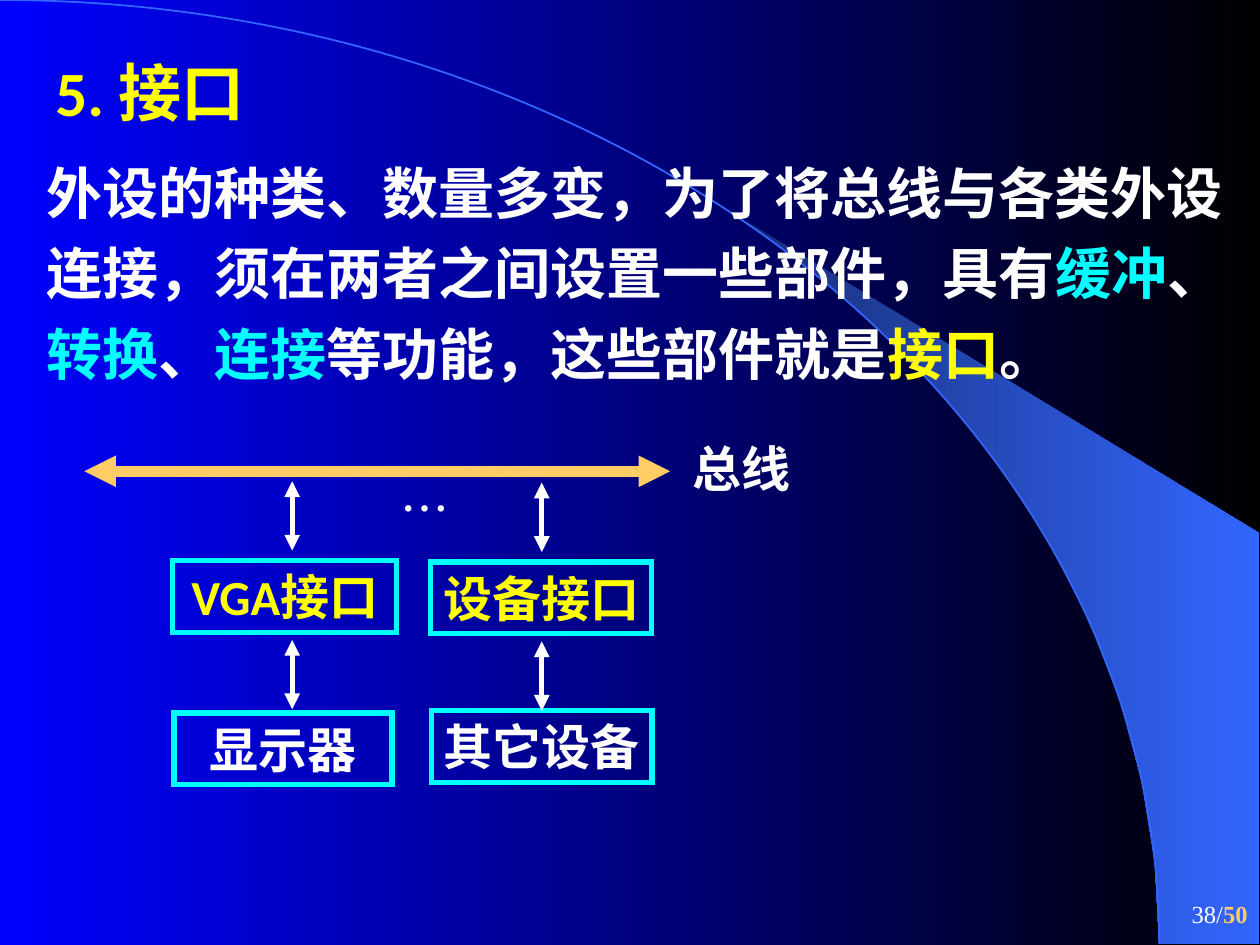
from math import cos, radians, sin

from lxml.etree import SubElement as Sub
from pptx import Presentation
from pptx.dml.color import RGBColor as RGB
from pptx.enum.shapes import MSO_CONNECTOR as Conn, MSO_SHAPE as Shape
from pptx.enum.text import MSO_ANCHOR as Anchor, MSO_AUTO_SIZE as Auto, PP_ALIGN as Align
from pptx.oxml.ns import qn
from pptx.util import Pt

theme = {
    "blue": "0000FF", "black": "000000", "navy": "182F76", "sky": "3366FF",
    "white": "FFFFFF", "cyan": "00FFFF", "gold": "FFFF00", "sand": "FFCC66",
    "head": 36, "body": 32, "label": 28, "small": 14,
    "main": "Calibri", "han": "Noto Sans CJK SC", "serif": "Times New Roman",
}
hues = ("blue", "black", "navy", "sky", "white", "cyan", "gold", "sand")
tone = {hue: RGB.from_string(theme[hue]) for hue in hues}


def write(shape, runs, size, face="main", align=Align.CENTER, wrap=False,
          anchor=Anchor.TOP, space=1.0, fit=Auto.SHAPE_TO_FIT_TEXT):
    frame = shape.text_frame
    form = {"word_wrap": wrap, "vertical_anchor": anchor, "auto_size": fit,
            "margin_left": Pt(7.2), "margin_right": Pt(7.2),
            "margin_top": Pt(3.6), "margin_bottom": Pt(3.6)}
    for key, val in form.items():
        setattr(frame, key, val)
    para = frame.paragraphs[0]
    para.alignment, para.line_spacing = align, space
    for text, hue, bold in runs:
        run = para.add_run()
        run.text = text
        form = {"name": theme[face], "size": Pt(theme[size]), "bold": bold}
        for key, val in form.items():
            setattr(run.font, key, val)
        run.font.color.rgb = tone[hue]
        Sub(run.font._element, qn("a:ea"), typeface=theme["han"])


def arrow(x1, y1, x2, y2, hue, width):
    link = slide.shapes.add_connector(Conn.STRAIGHT, Pt(x1), Pt(y1), Pt(x2), Pt(y2))
    link.line.color.rgb, link.line.width = tone[hue], Pt(width)
    for end in ("a:headEnd", "a:tailEnd"):
        Sub(link.line._get_or_add_ln(), qn(end), type="triangle")
    Sub(link._element.spPr, qn("a:effectLst"))
    return link


deck = Presentation()
deck.slide_width, deck.slide_height = Pt(720), Pt(540)
slide = deck.slides.add_slide(deck.slide_layouts[5])

wide, high = 662.4, 539.3
arc = [(Pt(wide * sin(radians(a))), Pt(high * (1 - cos(radians(a)))))
       for a in range(40, 91, 5)]
edge = [(Pt(719.3), Pt(high)), (Pt(719.3), Pt(304.6))]
pen = slide.shapes.build_freeform(*arc[0])
pen.add_line_segments(arc[1:] + edge, close=True)
fan = pen.convert_to_shape()
fan.shadow.inherit = False
fan.line.fill.background()

pen = slide.shapes.build_freeform(0, 0)
pen.add_line_segments([(Pt(wide), Pt(high))], close=False)
curve = pen.convert_to_shape()
curve.shadow.inherit = False
curve.fill.background()
curve.line.color.rgb, curve.line.width = tone["sky"], Pt(1)
step = next(curve._element.iter(qn("a:lnTo")))
bend = Sub(step.getparent(), qn("a:cubicBezTo"))
for x, y in ((0.55 * wide, 0), (wide, 0.45 * high), (wide, high)):
    Sub(bend, qn("a:pt"), x=str(Pt(x)), y=str(Pt(y)))
step.getparent().remove(step)

for fill, pair in ((slide.background.fill, ("blue", "black")),
                   (fan.fill, ("navy", "sky"))):
    fill.gradient()
    fill.gradient_angle = 0
    for stop, hue, pos in zip(fill.gradient_stops, pair, (0, 1)):
        stop.color.rgb, stop.position = tone[hue], pos

title = slide.shapes.title
form = {"left": Pt(24.5), "top": Pt(27), "width": Pt(165), "height": Pt(50.4)}
for key, val in form.items():
    setattr(title, key, val)
write(title, [("5. 接口", "gold", True)], "head", align=Align.LEFT, wrap=True)

body = [
    ("外设的种类、数量多变，为了将总线与各类外设连接，须在两者之间设置一些部件，具有", "white", True),
    ("缓冲", "cyan", True), ("、", "white", True),
    ("转换", "cyan", True), ("、", "white", True),
    ("连接", "cyan", True), ("等功能，这些部件就是", "white", True),
    ("接口", "gold", True), ("。", "white", True),
]
left = {"align": Align.LEFT, "wrap": True, "space": 1.2}
right = {"align": Align.RIGHT, "wrap": True, "anchor": Anchor.MIDDLE, "fit": Auto.NONE}
for x, y, w, h, runs, size, face, form in (
    (19.4, 79.2, 700.6, 145.4, body, "body", "main", left),
    (388.2, 247, 71, 41, [("总线", "white", True)], "label", "han", {}),
    (221.8, 270, 36, 41, [("…", "white", False)], "label", "han", {}),
    (570.2, 504, 149.8, 36, [("38/", "white", False), ("50", "sand", True)],
     "small", "serif", right),
):
    box = slide.shapes.add_textbox(Pt(x), Pt(y), Pt(w), Pt(h))
    write(box, runs, size, face, **form)

cells = {}
for text, x, y, w, hue, face in (
    ("VGA接口", 98.6, 320.4, 128.2, "gold", "main"),
    ("显示器", 99.4, 407.5, 124.6, "white", "han"),
    ("设备接口", 246.2, 321.1, 126, "gold", "main"),
    ("其它设备", 246.6, 406.1, 126, "white", "han"),
):
    cell = slide.shapes.add_shape(Shape.RECTANGLE, Pt(x), Pt(y), Pt(w), Pt(41))
    cell.shadow.inherit = False
    cell.fill.background()
    cell.line.color.rgb, cell.line.width = tone["cyan"], Pt(3)
    Sub(cell.line._get_or_add_ln(), qn("a:miter"), lim="800000")
    write(cell, [(text, hue, True)], "label", face, wrap=text == "显示器")
    cells[text] = cell

arrow(48.2, 269.3, 383, 269.3, "sand", 6)
for x, y in ((167, 275), (309.6, 275.8)):
    for top in (y, y + 90.7):
        link = arrow(x, top, x, top + 39.6, "white", 3)
link.end_connect(cells["其它设备"], 0)

deck.save("out.pptx")
